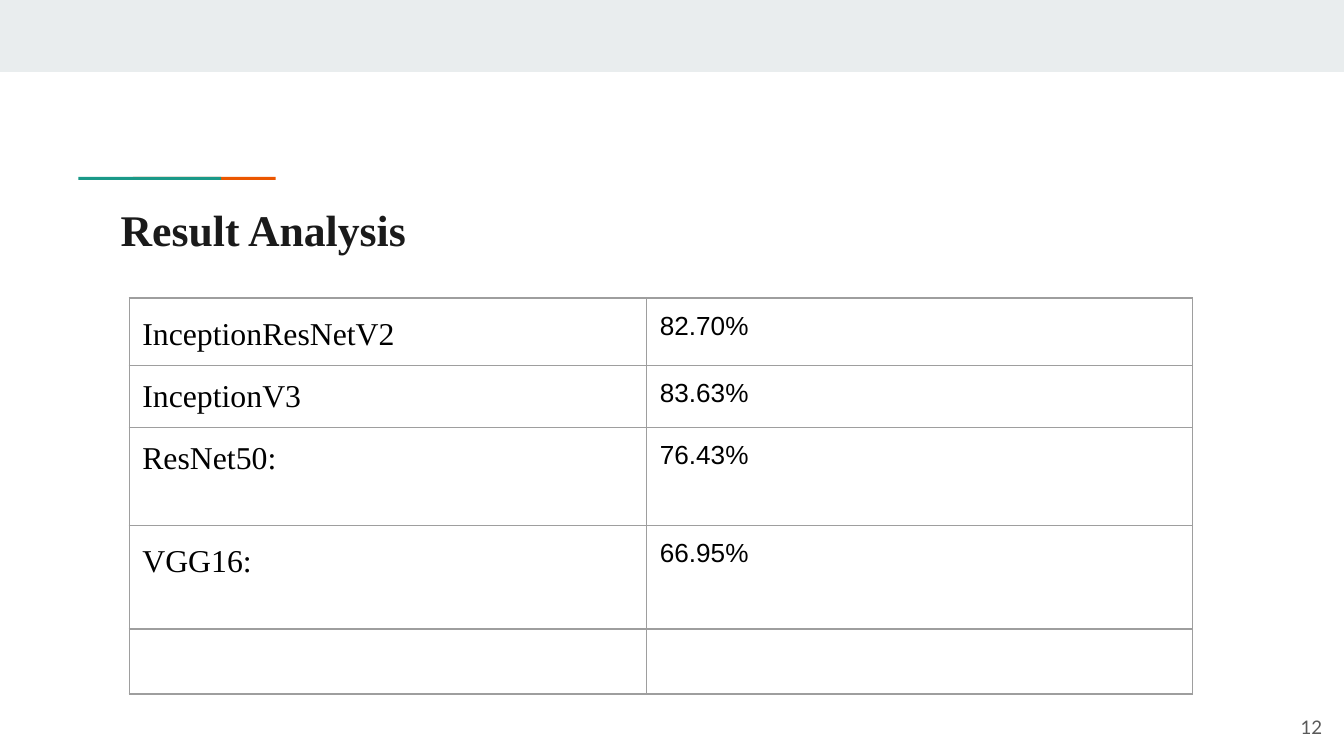
from typing import NamedTuple

from lxml.etree import SubElement
from pptx import Presentation
from pptx.dml.color import RGBColor
from pptx.enum.shapes import MSO_SHAPE
from pptx.enum.text import MSO_ANCHOR, PP_ALIGN
from pptx.oxml.ns import qn
from pptx.util import Cm, Pt

SERIF = "Times New Roman"
PAD = Cm(0.25)


class Bar(NamedTuple):
    left: float
    top: float
    width: float
    height: float
    fill: str


class Score(NamedTuple):
    model: str
    rate: str
    height: float
    spacing: float = 1.0


BARS = [
    Bar(0, 0, 25.4, 1.36, "E9EDEE"),
    Bar(2.51, 3.34, 2.7, 0.06, "EB5600"),
    Bar(1.48, 3.34, 2.7, 0.06, "1A9988"),
]
SCORES = [
    Score("InceptionResNetV2", "82.70%", 1.28, 1.15),
    Score("InceptionV3", "83.63%", 1.17),
    Score("ResNet50:", "76.43%", 1.85),
    Score("VGG16:", "66.95%", 1.95, 1.15),
    Score("", "", 1.23),
]
WIDTHS = [9.78, 10.31]


def color(code: str) -> RGBColor:
    return RGBColor.from_string(code)


def style(para, face: str, size: float, code: str, bold: bool = False) -> None:
    font = para.font
    font.name, font.size, font.bold = face, Pt(size), bold
    font.color.rgb = color(code)


def inset(frame) -> None:
    frame.margin_left = frame.margin_right = PAD
    frame.margin_top = frame.margin_bottom = PAD


def draw_bar(slide, bar: Bar) -> None:
    box = [Cm(n) for n in bar[:4]]
    shape = slide.shapes.add_shape(MSO_SHAPE.RECTANGLE, *box)
    shape.shadow.inherit = False
    shape.fill.solid()
    shape.fill.fore_color.rgb = color(bar.fill)
    shape.line.fill.background()


def draw_title(slide, text: str) -> None:
    title = slide.shapes.title
    title.left, title.top = Cm(2.03), Cm(3.58)
    title.width, title.height = Cm(21.36), Cm(1.5)
    frame = title.text_frame
    frame.text = text
    frame.vertical_anchor = MSO_ANCHOR.TOP
    inset(frame)
    para = frame.paragraphs[0]
    para.alignment = PP_ALIGN.LEFT
    style(para, SERIF, 23.4, "1A1A1A", True)


def draw_number(slide, text: str) -> None:
    box = slide.shapes.add_textbox(Cm(23.72), Cm(13.18), Cm(1.52), Cm(1.09))
    frame = box.text_frame
    frame.word_wrap = True
    frame.vertical_anchor = MSO_ANCHOR.MIDDLE
    inset(frame)
    frame.text = text
    para = frame.paragraphs[0]
    para.alignment = PP_ALIGN.RIGHT
    style(para, "Lato", 10, "595959")


def add_edges(cell, code: str, width: float) -> None:
    """Line all four sides; edges must come before the cell's fill."""
    props = cell._tc.get_or_add_tcPr()
    for side in ("a:lnL", "a:lnR", "a:lnT", "a:lnB"):
        edge = SubElement(props, qn(side), w=str(Pt(width)))
        fill = SubElement(edge, qn("a:solidFill"))
        SubElement(fill, qn("a:srgbClr"), val=code)


def fill_cell(cell, text: str, face: str, size: float, spacing: float) -> None:
    inset(cell)
    add_edges(cell, "9E9E9E", 0.75)
    cell.fill.background()
    cell.text = text
    para = cell.text_frame.paragraphs[0]
    para.line_spacing = spacing
    style(para, face, size, "000000")


def draw_table(slide, scores: list[Score]) -> None:
    high = sum(score.height for score in scores)
    table = slide.shapes.add_table(
        len(scores), len(WIDTHS), Cm(2.44), Cm(5.63), Cm(sum(WIDTHS)), Cm(high)
    ).table
    table.first_row = table.horz_banding = False
    for col, width in zip(table.columns, WIDTHS):
        col.width = Cm(width)
    for row, score in zip(table.rows, scores):
        row.height = Cm(score.height)
        model, rate = row.cells
        fill_cell(model, score.model, SERIF, 17, score.spacing)
        fill_cell(rate, score.rate, "Arial", 14, 1.0)


def main() -> None:
    deck = Presentation()
    deck.slide_width, deck.slide_height = Cm(25.4), Cm(14.28)
    slide = deck.slides.add_slide(deck.slide_layouts[5])
    for bar in BARS:
        draw_bar(slide, bar)
    draw_title(slide, "Result Analysis")
    draw_table(slide, SCORES)
    draw_number(slide, "12")
    deck.save("out.pptx")


if __name__ == "__main__":
    main()
